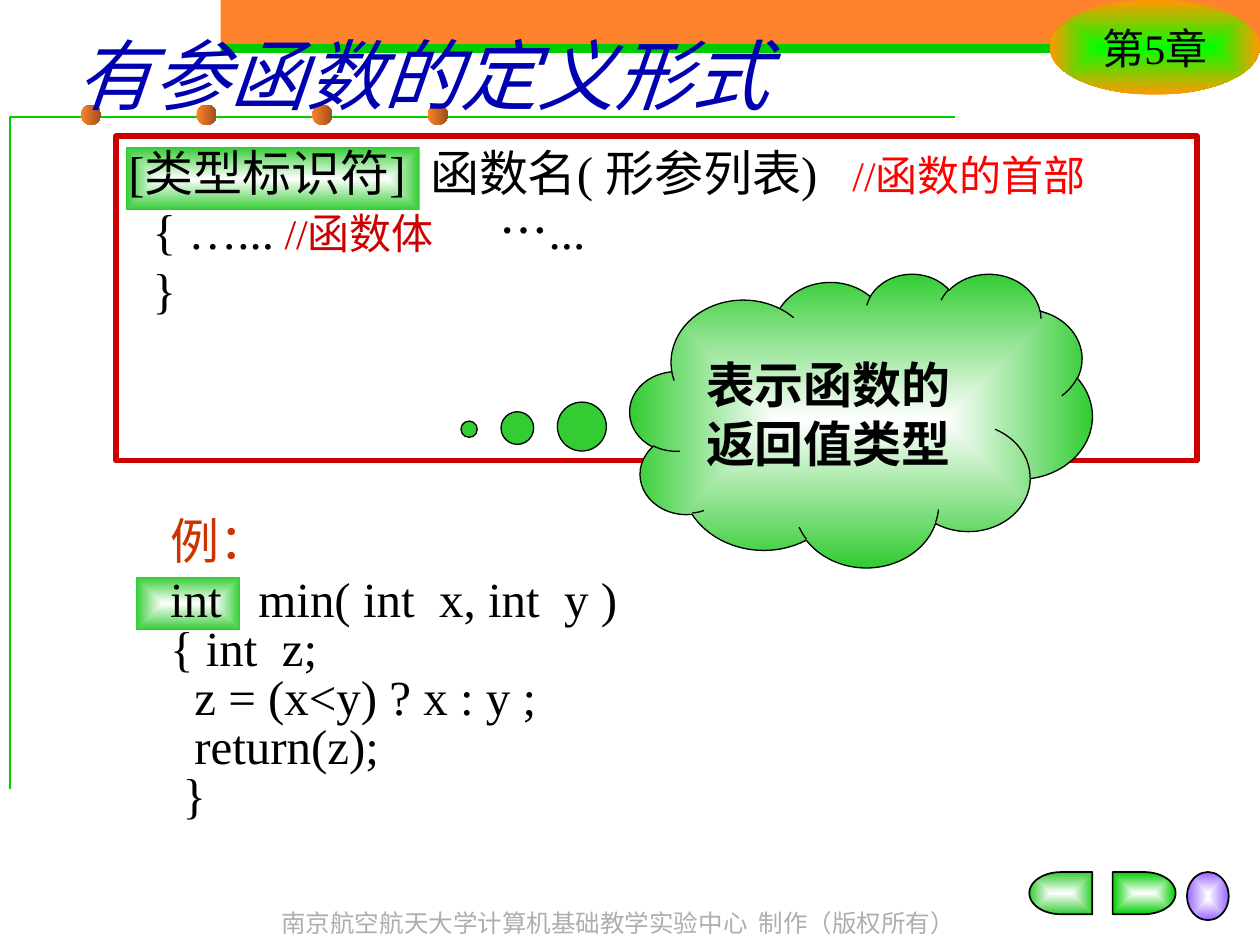
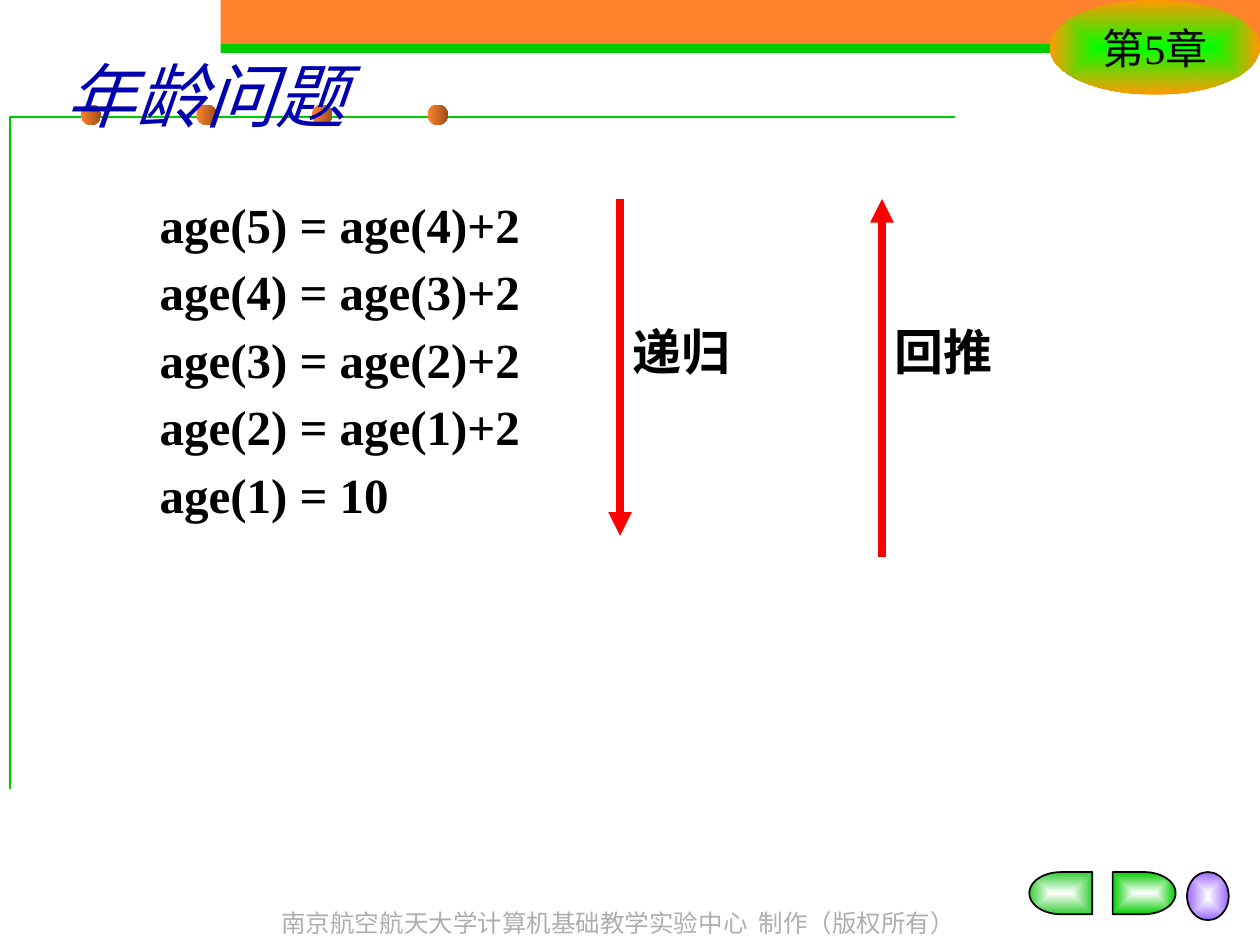
from dataclasses import dataclass

from lxml import etree
from pptx import Presentation
from pptx.dml.color import RGBColor
from pptx.enum import shapes, text
from pptx.oxml.ns import qn
from pptx.util import Cm, Pt


@dataclass(frozen=True)
class Theme:
    serif: str = "Times New Roman"
    title_font: str = "Roboto"
    black: str = "000000"
    white: str = "FFFFFF"
    orange: str = "FF822D"
    brown: str = "9B4F1B"
    green: str = "00CC00"
    leaf: str = "33CC33"
    lime: str = "00FF00"
    amber: str = "FF9900"
    violet: str = "9966FF"
    blue: str = "0000B0"
    red: str = "FF0000"
    dark_red: str = "CC0000"
    rust: str = "CC3300"
    grey: str = "AEAEAE"
    body: int = 28
    note: int = 24
    footer: int = 14


T = Theme()
KIND = shapes.MSO_SHAPE
ALIGN = text.PP_ALIGN
ANCHOR = text.MSO_ANCHOR


def rgb(value):
    return RGBColor.from_string(value)


def cm(box):
    return [Cm(v) for v in box]


def inside(box, dx, dy, w, h):
    """Box of size w, h offset from the corner of another box."""
    return box[0] + dx, box[1] + dy, w, h


# Text
def write(tf, lines, size=T.body, color=T.black, font=T.serif, bold=False,
          italic=False, align=ALIGN.LEFT, anchor=ANCHOR.TOP, wrap=True,
          spacing=None, indents=None):
    """Each line is a string or a list of (string, size, colour) runs."""
    tf.word_wrap = wrap
    tf.auto_size = text.MSO_AUTO_SIZE.NONE
    tf.vertical_anchor = anchor
    for i, line in enumerate(lines):
        p = tf.paragraphs[0] if i == 0 else tf.add_paragraph()
        p.alignment = align
        if spacing:
            p.line_spacing = spacing[i]
        if indents and indents[i]:
            p._p.get_or_add_pPr().set("marL", str(Cm(indents[i])))
        runs = [(line, size, color)] if isinstance(line, str) else line
        for content, run_size, run_color in runs:
            r = p.add_run()
            r.text = content
            r.font.name = font
            r.font.size = Pt(run_size)
            r.font.color.rgb = rgb(run_color)
            r.font.bold = bold
            r.font.italic = italic


def add_text(slide, box, lines, **fmt):
    sp = slide.shapes.add_textbox(*cm(box))
    write(sp.text_frame, lines, **fmt)
    return sp


# Shapes
def paint(sp, fill=None, line=None, width=0.75):
    sp.shadow.inherit = False
    if fill:
        sp.fill.solid()
        sp.fill.fore_color.rgb = rgb(fill)
    else:
        sp.fill.background()
    if line:
        sp.line.color.rgb = rgb(line)
        sp.line.width = Pt(width)
    else:
        sp.line.fill.background()


def add_shape(slide, kind, box, **style):
    sp = slide.shapes.add_shape(kind, *cm(box))
    paint(sp, **style)
    return sp


def shade(sp, start, end, kind=None):
    """Linear gradient, or one from the centre when kind is given."""
    sp.fill.gradient()
    for stop, color, position in zip(sp.fill.gradient_stops, (start, end), (0, 1)):
        stop.color.rgb = rgb(color)
        stop.position = position
    sp.fill.gradient_angle = 0
    if kind:
        lin = sp.element.spPr.find(qn("a:gradFill")).find(qn("a:lin"))
        centre = etree.Element(qn("a:path"), {"path": kind})
        etree.SubElement(centre, qn("a:fillToRect"), dict.fromkeys("ltrb", "50000"))
        lin.getparent().replace(lin, centre)


def add_glow(slide, kind, box, edge, centre=T.white, spread="shape", **style):
    sp = add_shape(slide, kind, box, **style)
    shade(sp, centre, edge, spread)
    return sp


def add_arrow(slide, x, start, end):
    c = slide.shapes.add_connector(
        shapes.MSO_CONNECTOR.STRAIGHT, Cm(x), Cm(start), Cm(x), Cm(end))
    c.line.color.rgb = rgb(T.red)
    c.line.width = Pt(4.5)
    etree.SubElement(c.line._get_or_add_ln(), qn("a:tailEnd"), type="triangle")
    etree.SubElement(c.element.spPr, qn("a:effectLst"))


# Shared frame
def draw_band(slide, box):
    x, y, w, h = box
    add_shape(slide, KIND.RECTANGLE, (x, y, w, 0.89), fill=T.orange)
    add_shape(slide, KIND.RECTANGLE, (x, y + 0.89, w, h - 0.89), fill=T.green)
    badge = add_glow(slide, KIND.OVAL, inside(box, w - 4.24, 0, 4.24, 1.91),
                     T.amber, T.lime)
    write(badge.text_frame, ["第5章"], size=T.note, align=ALIGN.CENTER,
          anchor=ANCHOR.MIDDLE, wrap=False)


def draw_corner(slide, box):
    x, y, w, h = box
    builder = slide.shapes.build_freeform(Cm(x), Cm(y + h))
    builder.add_line_segments([(Cm(x), Cm(y)), (Cm(x + w), Cm(y))], close=False)
    paint(builder.convert_to_shape(), line=T.green)
    for i in range(4):
        dot = add_shape(slide, KIND.OVAL,
                        inside(box, 1.43 + i * 2.33, -0.25, 0.41, 0.41))
        shade(dot, T.orange, T.brown)


def draw_buttons(slide, box):
    buttons = [
        (KIND.FLOWCHART_DELAY, 1.68, 1.27, 0.85, T.green, 0),
        (KIND.FLOWCHART_DELAY, 0, 1.27, 0.85, T.leaf, 180),
        (KIND.OVAL, 3.18, 0.84, 0.97, T.violet, 0),
    ]
    for kind, dx, w, h, color, turn in buttons:
        sp = add_glow(slide, kind, inside(box, dx, 0, w, h), color,
                      line=T.black, width=1)
        sp.rotation = turn


def new_slide(prs, title, box, size):
    slide = prs.slides.add_slide(prs.slide_layouts[5])
    draw_band(slide, (4.45, 0, 20.95, 1.07))
    draw_corner(slide, (0.2, 2.36, 19.05, 13.54))
    draw_buttons(slide, (20.75, 17.58, 4.02, 0.97))
    add_text(slide, (4.88, 18.19, 15.29, 0.84),
             ["南京航空航天大学计算机基础教学实验中心  制作（版权所有） "],
             size=T.footer, color=T.grey, align=ALIGN.CENTER)
    # The title lies above the frame
    sp = slide.shapes.title
    sp.element.getparent().append(sp.element)
    sp.left, sp.top, sp.width, sp.height = cm(box)
    write(sp.text_frame, [title], size=size, color=T.blue, font=T.title_font,
          italic=True, anchor=ANCHOR.MIDDLE)
    return slide


# Function definition slide
def draw_syntax(slide, box):
    add_glow(slide, KIND.RECTANGLE, inside(box, 0.2, 0.23, 5.92, 1.27), T.leaf)
    frame = add_shape(slide, KIND.RECTANGLE, box, line=T.dark_red, width=3)
    write(frame.text_frame, [
        [("[类型标识符]  函数名( 形参列表)  ", T.body, T.black),
         (" //函数的首部", T.note, T.red)],
        [("{ …...", T.body, T.black), (" //函数体", T.note, T.dark_red),
         ("      …...", T.body, T.black)],
        "}",
    ], indents=[0, 0.49, 0.49])


def draw_example(slide, box):
    add_glow(slide, KIND.RECTANGLE, inside(box, -0.44, 1.47, 2.11, 1.07), T.leaf)
    add_text(slide, box, [
        [("例：", T.body, T.rust)],
        "int   min( int  x, int  y )",
        "{ int  z;",
        "z = (x<y) ? x : y ;",
        "return(z);",
        "}",
    ], spacing=[1, 1] + [0.83] * 4, indents=[0, 0, 0, 0.49, 0.49, 0.25])


def draw_cloud(slide, box):
    cloud = add_glow(slide, KIND.CLOUD_CALLOUT, box, T.leaf, spread="rect",
                     line=T.black)
    cloud.adjustments[0] = -0.848
    cloud.adjustments[1] = 0.031
    write(cloud.text_frame, ["表示函数的", "返回值类型"], bold=True,
          anchor=ANCHOR.MIDDLE, wrap=False)


def definition_slide(prs):
    slide = new_slide(prs, "有参函数的定义形式", (1.27, 0.43, 21.59, 2.11), 44)
    draw_syntax(slide, (2.34, 2.74, 21.79, 6.55))
    draw_example(slide, (3.18, 10.16, 12.9, 8.46))
    draw_cloud(slide, (12.7, 5.51, 9.32, 5.92))


# Recursion slide
def draw_steps(slide, box):
    steps = [f"age({n}) = age({n - 1})+2" for n in range(5, 1, -1)]
    add_text(slide, box, steps + ["age(1) = 10"], bold=True, wrap=False,
             spacing=[1.15] * 5)


def draw_direction(slide, box, label, upward=False):
    x, top, w, h = box
    ends = (top + h, top) if upward else (top, top + h)
    add_arrow(slide, x, *ends)
    add_text(slide, inside(box, 0, 2.34, w, 1.45), [label], bold=True, wrap=False)


def recursion_slide(prs):
    slide = new_slide(prs, "年龄问题", (1.07, 0.43, 9.96, 2.97), 40)
    draw_steps(slide, (2.97, 3.61, 7.8, 6.78))
    draw_direction(slide, (17.78, 4.01, 2.49, 7.22), "回推", upward=True)
    draw_direction(slide, (12.5, 4.01, 2.49, 6.79), "递归")


def main():
    prs = Presentation()
    prs.slide_width, prs.slide_height = Cm(25.4), Cm(19.05)
    definition_slide(prs)
    recursion_slide(prs)
    prs.save("out.pptx")


if __name__ == "__main__":
    main()
